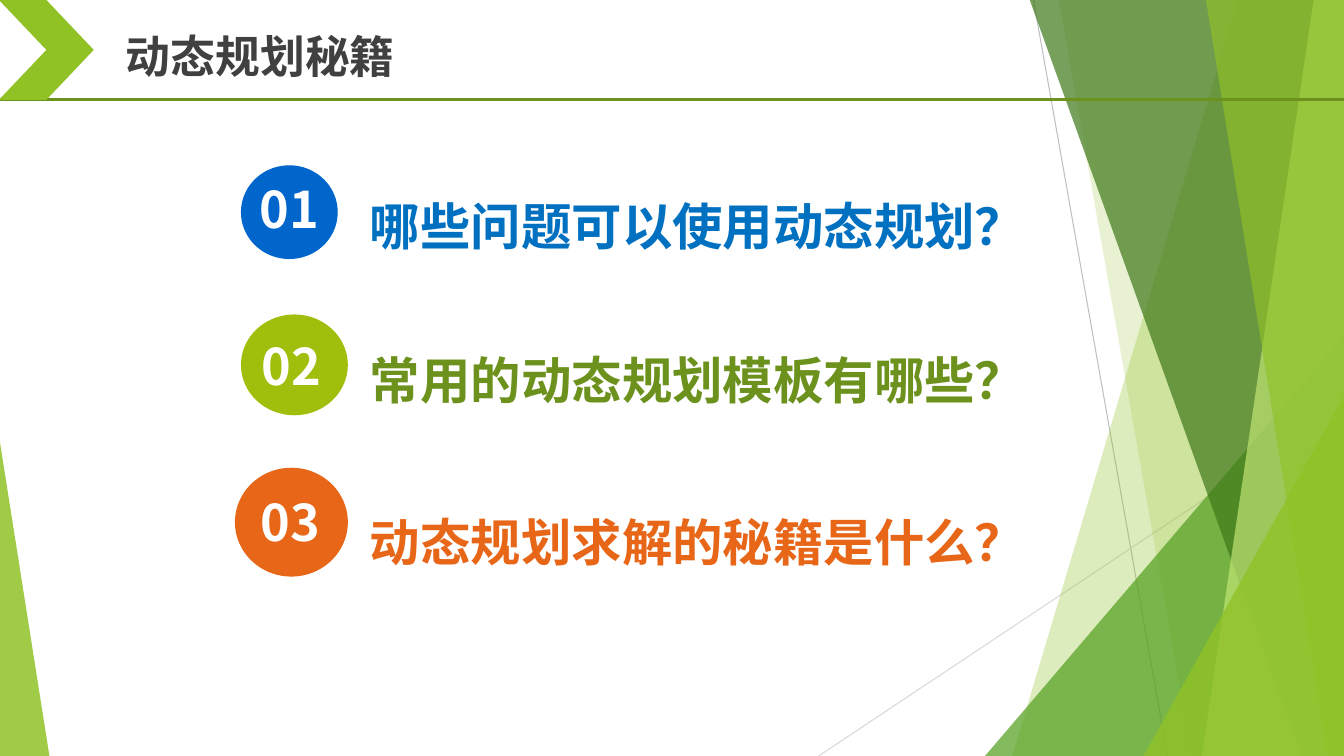
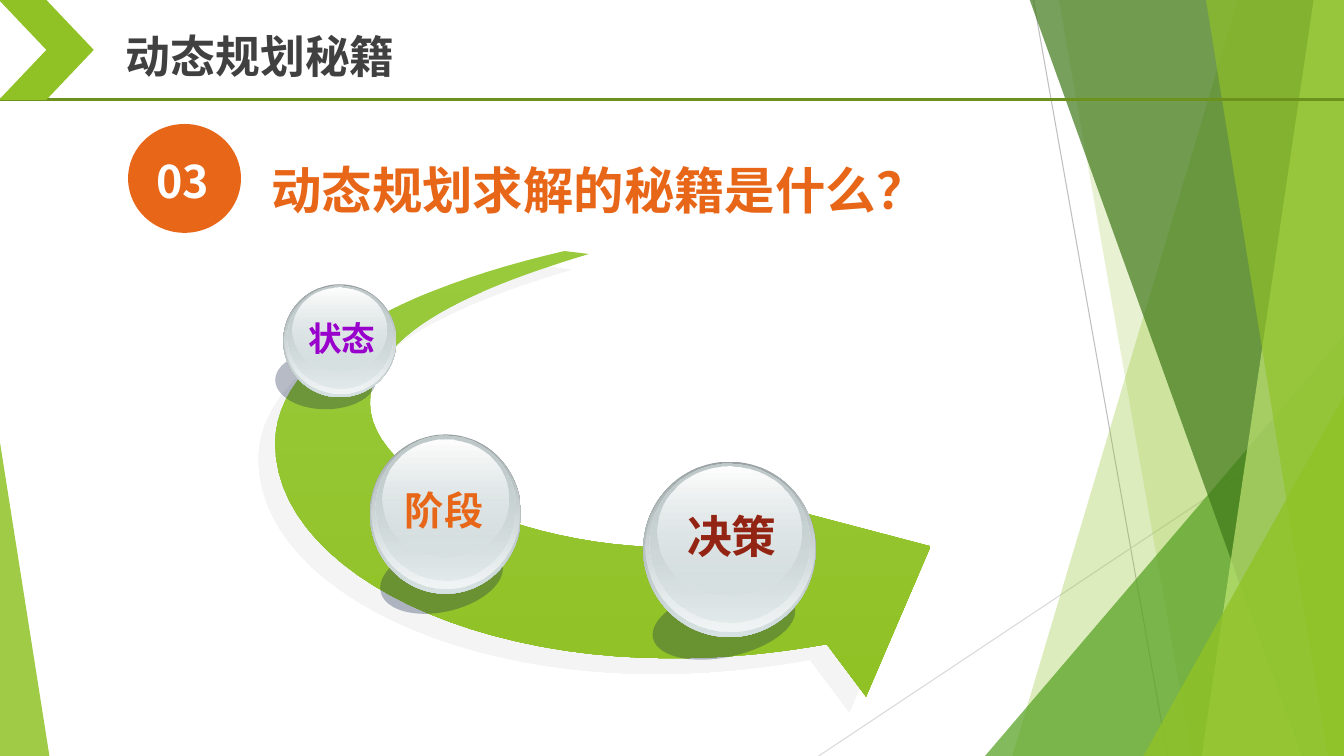
from lxml.etree import SubElement
from pptx import Presentation
from pptx.dml.color import RGBColor
from pptx.enum.shapes import MSO_CONNECTOR as Link, MSO_SHAPE as Kind
from pptx.enum.text import MSO_AUTO_SIZE as Fit, PP_ALIGN as Align
from pptx.oxml.ns import qn
from pptx.util import Inches, Pt

# Shared style
WIDE, HIGH = 13.33, 7.5
BLEED = -0.01
FONT = "Noto Sans CJK SC"
LIME, OLIVE, ORANGE, WHITE = "90C226", "6C921D", "E76618", "FFFFFF"
GRAY, NAVY = "404040", "0F2145"
TITLE = "动态规划秘籍"
SECRET = "动态规划求解的秘籍是什么？"

# Slanted bands: top x, bottom x, colour, opacity; all reach the right edge
BACK = [(12.28, 10.04, LIME, 30), (10.5, 11.82, LIME, 20)]
FRONT = [(10.21, 12.91, "3F7819", 70), (13.03, 11.92, "C0E474", 70),
         (11.96, 13.17, LIME, 65)]

# Questions: disc, disc colour, number, number box, wrap, text box, text,
# text colour, line spacing
ASKS = [
    ((2.39, 1.64, 0.96, 0.93), "0066CC", "01", (2.48, 1.72, 0.87, 0.71), True,
     (3.67, 1.76, 6.06, 0.79), "哪些问题可以使用动态规划？", "0070C0", 1.3),
    ((2.39, 3.12, 1.06, 1), "A0BF0D", "02", (2.5, 3.28, 0.83, 0.71), False,
     (3.67, 3.16, 6.54, 0.91), "常用的动态规划模板有哪些？", OLIVE, 1.5),
    ((2.33, 4.64, 1.12, 1.08), ORANGE, "03", (2.49, 4.82, 0.83, 0.78), False,
     (3.67, 4.77, 6.54, 0.91), SECRET, ORANGE, 1.5),
]

# Balls: body, shade, shade turn, label box, label, size, colour, wrap
BALLS = [
    ((6.38, 4.58, 1.71, 1.74), (6.46, 5.84, 1.44, 0.68), 347.9,
     (6.67, 5, 1.18, 0.64), "决策", 32, "932313", True),
    ((3.67, 4.31, 1.5, 1.58), (3.76, 5.4, 1.24, 0.67), 347.1,
     (3.91, 4.78, 0.99, 0.57), "阶段", 28, ORANGE, False),
    ((2.81, 2.82, 1.12, 1.12), (2.73, 3.48, 1, 0.58), 0,
     (2.95, 3.1, 0.88, 0.5), "状态", 24, "9900CC", False),
]

# Ball layers: width, height and top offset as shares, gradient stops
LAYERS = [
    (1, 1, 0, [("99A1A2", 100), ("D6E1E2", 100)]),
    (0.98, 0.97, 0, [("D6E1E2", 0), ("F2F5F5", 100)]),
    (0.93, 0.91, 0.01, [("C1CBCC", 100), ("D6E1E2", 48)]),
    (0.83, 0.74, 0.03, [("FFFFFF", 100), ("D6E1E2", 38)]),
]

# Curved arrow: each edge is a start point, then Bézier bends
# (two handles and an end point)
OUTER = ((5.6, 2.49), [
    ((4, 2.86), (2.73, 3.5), (2.73, 4.4)),        # tail to left side
    ((2.73, 5.58), (4.48, 6.53), (6.65, 6.53)),   # left side to bottom
    ((7.2, 6.53), (7.7, 6.48), (8.2, 6.39))])     # bottom to head
HEAD = [(8.59, 6.91), (9.23, 5.42), (7.03, 4.84)]
INNER = ((7.42, 5.36), [
    ((7.16, 5.41), (6.9, 5.43), (6.65, 5.43)),    # head to bottom
    ((5.15, 5.43), (3.67, 4.73), (3.67, 4)),      # bottom to left side
    ((3.67, 3.35), (4.54, 2.91), (5.84, 2.52))])  # left side to tail


def rgb(code):
    return RGBColor.from_string(code)


def box(*sides):
    return [Inches(side) for side in sides]


def bend(ends, t):
    """Point at share t of a cubic Bézier curve."""
    u = 1 - t
    mix = (u ** 3, 3 * u * u * t, 3 * u * t * t, t ** 3)
    return tuple(sum(m * v for m, v in zip(mix, axis)) for axis in zip(*ends))


def curve(start, bends, steps=24):
    """Points along a chain of bends."""
    points = [start]
    for rest in bends:
        ends = (points[-1], *rest)
        points += [bend(ends, i / steps) for i in range(1, steps + 1)]
    return points


class Deck:
    def __init__(self):
        self.prs = Presentation()
        self.prs.slide_width, self.prs.slide_height = box(WIDE, HIGH)
        self.blank = self.prs.slide_layouts[6]
        for holder in list(self.blank.placeholders):
            self.blank.shapes.element.remove(holder.element)
        self.page()
        self.decor()

    def page(self):
        self.slide = self.prs.slides.add_slide(self.blank)
        self.shapes = self.slide.shapes

    # Basic elements
    def paint(self, shape, stops):
        """Fill with one colour, or top to bottom with two."""
        fill = shape.fill
        if len(stops) == 1:
            fill.solid()
            fill.fore_color.rgb = rgb(stops[0][0])
        else:
            fill.gradient()
            fill.gradient_angle = 270
            for stop, (color, _) in zip(fill.gradient_stops, stops):
                stop.color.rgb = rgb(color)
        tints = list(shape.element.spPr.iter(qn("a:srgbClr")))
        for tint, (_, alpha) in zip(tints, stops):
            self.fade(tint, alpha)
        shape.line.fill.background()
        shape.shadow.inherit = False
        return shape

    def fade(self, tint, alpha):
        if alpha < 100:
            SubElement(tint, qn("a:alpha"), val=str(alpha * 1000))

    def shape(self, kind, at, *stops, turn=0, tip=None):
        shape = self.shapes.add_shape(kind, *box(*at))
        shape.rotation = turn
        if tip is not None:
            shape.adjustments[0] = tip
        return self.paint(shape, stops)

    def free(self, points, *stops):
        dots = [box(*point) for point in points]
        pen = self.shapes.build_freeform(*dots[0], scale=1.0)
        pen.add_line_segments(dots[1:], close=True)
        return self.paint(pen.convert_to_shape(), stops)

    def line(self, ends, color, width):
        line = self.shapes.add_connector(Link.STRAIGHT, *box(*ends))
        line.line.color.rgb = rgb(color)
        line.line.width = Pt(width)
        SubElement(line.element.spPr, qn("a:effectLst"))

    def text(self, at, words, size, color, wrap=True, space=None,
             align=None, inset=True):
        area = self.shapes.add_textbox(*box(*at))
        frame = area.text_frame
        frame.text = words
        frame.word_wrap = wrap
        frame.auto_size = Fit.SHAPE_TO_FIT_TEXT
        if not inset:
            frame.margin_left = frame.margin_right = 0
            frame.margin_top = frame.margin_bottom = 0
        para = frame.paragraphs[0]
        para.alignment = align
        if space:
            para.line_spacing = space
        font = para.runs[0].font
        font.size, font.bold, font.name = Pt(size), True, FONT
        font.color.rgb = rgb(color)
        for props in area.element.iter(qn("a:rPr")):
            SubElement(props, qn("a:ea"), typeface=FONT)

    # Backdrop and header
    def bands(self, rows):
        for top, base, color, alpha in rows:
            self.free([(top, BLEED), (WIDE, BLEED), (WIDE, HIGH), (base, HIGH)],
                      (color, alpha))

    def wedge(self, left, right, top, color, alpha, tip):
        """Triangle standing on the bottom edge of the slide."""
        self.shape(Kind.ISOSCELES_TRIANGLE,
                   (left, top, right - left, HIGH - top),
                   (color, alpha), tip=tip)

    def decor(self):
        """Draw the green backdrop, then move it to the layout."""
        self.line((10.25, 0, 11.58, HIGH), "BFBFBF", 0.75)
        self.line((WIDE, 4.03, 8.12, HIGH), "D9D9D9", 0.75)
        self.bands(BACK)
        self.wedge(9.77, WIDE, 3.33, "54A021", 72, tip=1)
        self.bands(FRONT)
        self.wedge(11.34, WIDE, 3.93, LIME, 80, tip=1)
        self.wedge(0, 0.49, 4.39, LIME, 85, tip=0)
        for part in list(self.shapes):
            self.blank.shapes.element.append(part.element)

    def header(self, words):
        base = 0.99
        self.line((0, base, WIDE, base), OLIVE, 2.25)
        self.shape(Kind.CHEVRON, (BLEED, 0, 0.94, base), (LIME, 100))
        self.text((1.15, 0.24, 4.33, 0.64), words, 32, GRAY)

    # Slide parts
    def badge(self, disc, color, num, at, size=36, wrap=False):
        self.shape(Kind.OVAL, disc, (color, 100))
        self.text(at, num, size, WHITE, wrap=wrap)

    def topic(self, at, words, color, space=1.5):
        self.text(at, words, 36, color, space=space, inset=False)

    def arrow(self):
        shape = self.free(curve(*OUTER) + HEAD + curve(*INNER),
                          ("99CA3C", 100), (LIME, 100))
        effects = shape.element.spPr.find(qn("a:effectLst"))
        shade = SubElement(effects, qn("a:outerShdw"), blurRad="0",
                           dist=str(Pt(16.3)), dir=str(137 * 60000),
                           algn="ctr", rotWithShape="0")
        self.fade(SubElement(shade, qn("a:srgbClr"), val="EBEBEB"), 50)

    def ball(self, body, shade, turn, at, words, size, color, wrap):
        left, top, width, height = body
        self.shape(Kind.OVAL, shade, (NAVY, 30), turn=turn)
        for wide, high, drop, stops in LAYERS:
            layer = (left + width * (1 - wide) / 2, top + height * drop,
                     width * wide, height * high)
            self.shape(Kind.OVAL, layer, *stops)
        self.text(at, words, size, color, wrap=wrap, align=Align.CENTER)


def main():
    deck = Deck()

    # Slide 1: three questions
    deck.header(TITLE)
    for disc, fill, num, spot, wrap, at, words, color, space in ASKS:
        deck.badge(disc, fill, num, spot, wrap=wrap)
        deck.topic(at, words, color, space)

    # Slide 2: arrow with three glass balls
    deck.page()
    deck.header(TITLE)
    deck.badge((1.27, 1.23, 1.12, 1.08), ORANGE, "03",
               (1.45, 1.48, 0.82, 0.69), size=32)
    deck.topic((2.69, 1.28, 6.54, 0.77), SECRET, ORANGE)
    deck.arrow()
    for ball in BALLS:
        deck.ball(*ball)

    deck.prs.save("out.pptx")


if __name__ == "__main__":
    main()
